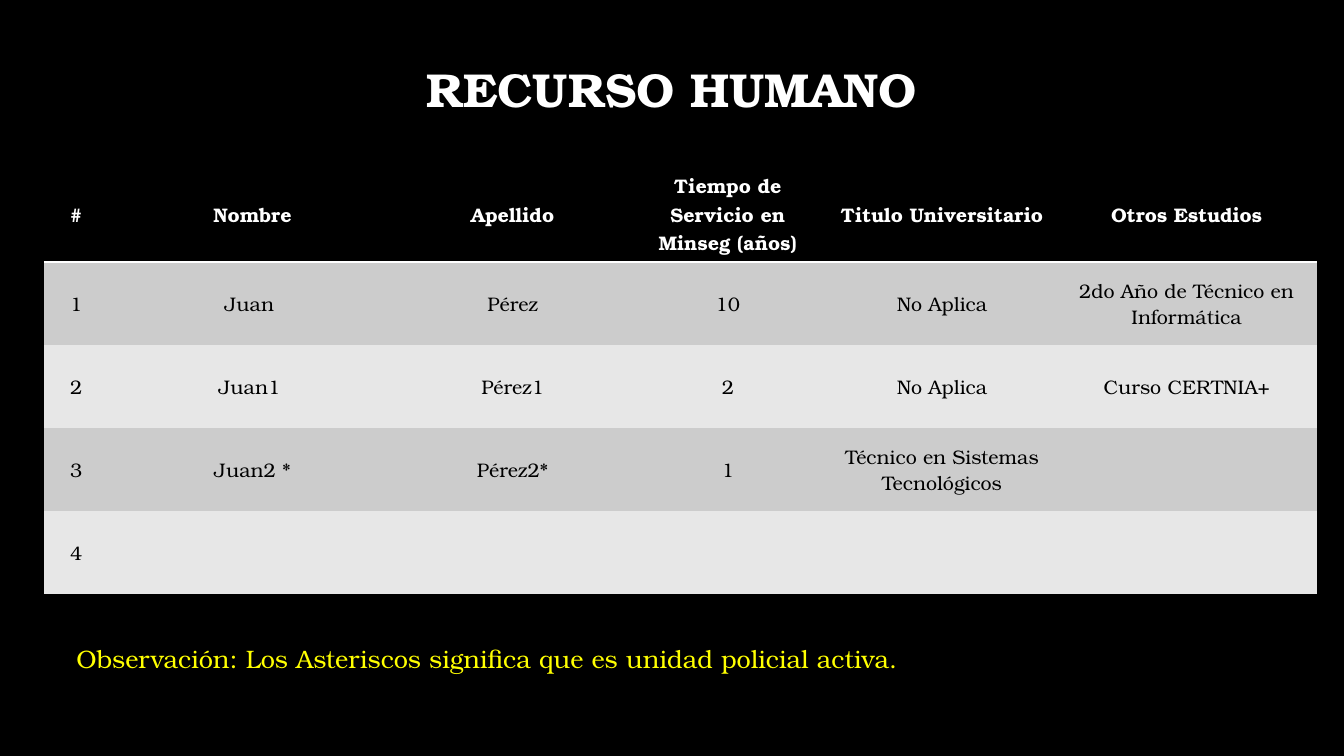
from lxml.etree import SubElement
from pptx import Presentation
from pptx.dml.color import RGBColor
from pptx.enum.text import MSO_ANCHOR, PP_ALIGN
from pptx.oxml import parse_xml
from pptx.oxml.ns import nsdecls, qn
from pptx.util import Inches, Pt

FONT = "TeX Gyre Bonum"
BLACK, WHITE, YELLOW = "000000", "FFFFFF", "FFFF00"
BANDS = ["CCCCCC", "E7E7E7"]
NO_STYLE = "{2D5ABB26-0587-4C30-8999-92F81FD0307C}"
COL_WIDTHS = [0.63, 2.87, 2.29, 1.98, 2.27, 2.58]
HEADER_HEIGHT = 0.96
STAFF = [
    ["#", "Nombre", "Apellido", "Tiempo de Servicio en Minseg (años)",
     "Titulo Universitario", "Otros Estudios"],
    ["1", "Juan ", "Pérez", "10", "No Aplica", "2do Año de Técnico en Informática"],
    ["2", "Juan1 ", "Pérez1", "2", "No Aplica", "Curso CERTNIA+"],
    ["3", "Juan2 *", "Pérez2*", "1", "Técnico en Sistemas Tecnológicos", ""],
    ["4", "", "", "", "", ""],
]


def rgb(color):
    """Turn a hex string into a colour."""
    return RGBColor.from_string(color)


def write(tf, text, size=14, color=BLACK, bold=False, align=PP_ALIGN.CENTER, spacing=None):
    """Write one formatted paragraph into a text frame."""
    p = tf.paragraphs[0]
    p.alignment = align
    p.line_spacing = spacing
    r = p.add_run()
    r.text = text
    r.font.name = FONT
    r.font.size = Pt(size)
    r.font.bold = bold
    r.font.color.rgb = rgb(color)


def add_text(s, box, text, anchor=MSO_ANCHOR.TOP, **fmt):
    """Place a wrapped text box in the given box."""
    tf = s.shapes.add_textbox(*map(Inches, box)).text_frame
    tf.word_wrap = True
    tf.vertical_anchor = anchor
    write(tf, text, **fmt)


def add_bottom_border(cell, color, width):
    """Draw a line under a table cell."""
    ln = parse_xml(f'<a:lnB {nsdecls("a")} w="{Pt(width)}"/>')
    fill = SubElement(ln, qn("a:solidFill"))
    SubElement(fill, qn("a:srgbClr")).set("val", color)
    cell._tc.get_or_add_tcPr().insert(0, ln)


def add_staff_table(s, box):
    """Place the staff table with its taller header and banded rows."""
    frame = s.shapes.add_table(len(STAFF), len(COL_WIDTHS), *map(Inches, box))
    table = frame.table
    table._tbl.tblPr.find(qn("a:tableStyleId")).text = NO_STYLE
    for col, width in zip(table.columns, COL_WIDTHS):
        col.width = Inches(width)
    body_height = (box[3] - HEADER_HEIGHT) / (len(STAFF) - 1)
    for i, values in enumerate(STAFF):
        header = i == 0
        table.rows[i].height = Inches(HEADER_HEIGHT if header else body_height)
        for j, text in enumerate(values):
            cell = table.cell(i, j)
            cell.vertical_anchor = MSO_ANCHOR.MIDDLE
            cell.fill.solid()
            cell.fill.fore_color.rgb = rgb(BLACK if header else BANDS[(i - 1) % 2])
            if header:
                add_bottom_border(cell, WHITE, 2)
            if text:
                write(cell.text_frame, text, color=WHITE if header else BLACK, bold=header)


def main():
    """Build the staff slide and save it."""
    prs = Presentation()
    prs.slide_width, prs.slide_height = Inches(13.33), Inches(7.5)
    s = prs.slides.add_slide(prs.slide_layouts[6])
    s.background.fill.solid()
    s.background.fill.fore_color.rgb = rgb(BLACK)
    add_text(s, (1, 0.19, 11.32, 1.45), "RECURSO HUMANO", anchor=MSO_ANCHOR.MIDDLE,
             size=34, color=WHITE, bold=True, spacing=0.9)
    add_staff_table(s, (0.44, 1.64, 12.62, 4.25))
    add_text(s, (0.66, 6.33, 9.55, 0.4),
             "Observación: Los Asteriscos significa que es unidad policial activa.",
             size=18, color=YELLOW, align=PP_ALIGN.LEFT)
    prs.save("out.pptx")


if __name__ == "__main__":
    main()
